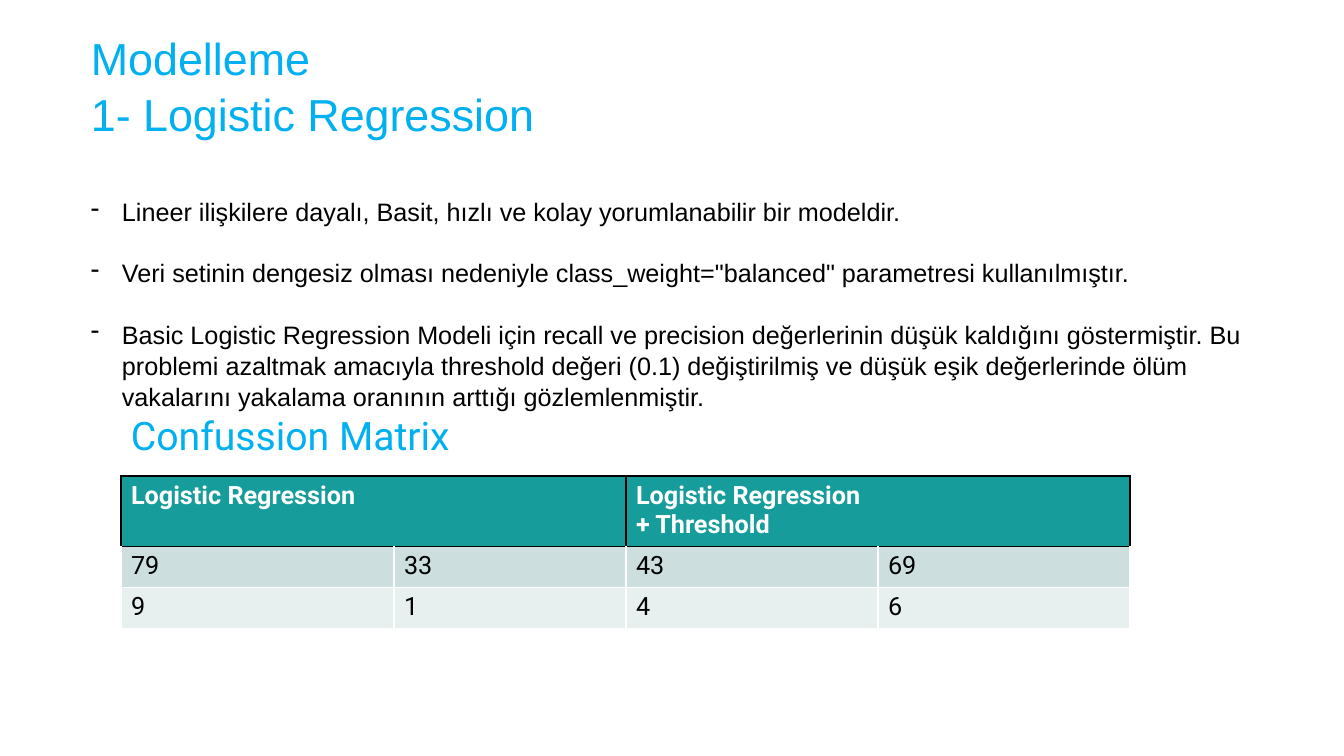
from lxml.etree import SubElement
from pptx import Presentation
from pptx.dml.color import RGBColor
from pptx.oxml import parse_xml
from pptx.oxml.ns import nsdecls, qn
from pptx.util import Emu, Pt

EMU_PER_INCH, PX_PER_INCH = 914400, 100.8
BLUE, TEAL, BLACK, WHITE = "00B0F0", "169C9A", "000000", "FFFFFF"


def px(length):
    return Emu(round(length * EMU_PER_INCH / PX_PER_INCH))


def style(para, text, size, color, font, bold=False):
    para.text = text
    para.font.size = Pt(size)
    para.font.name = font
    para.font.bold = bold
    para.font.color.rgb = RGBColor.from_string(color)


deck = Presentation()
deck.slide_width, deck.slide_height = px(1344), px(756)
page = deck.slides.add_slide(deck.slide_layouts[6])

# Title lines and dashed list share one text box
box = page.shapes.add_textbox(px(81), px(24), px(1181), px(479))
frame = box.text_frame
frame.word_wrap = True
titles = ["Modelleme", "1- Logistic Regression"]
points = [
    "Lineer ilişkilere dayalı, Basit, hızlı ve kolay yorumlanabilir bir modeldir.",
    'Veri setinin dengesiz olması nedeniyle class_weight="balanced" parametresi kullanılmıştır.',
    "Basic Logistic Regression Modeli için recall ve precision değerlerinin düşük kaldığını "
    "göstermiştir. Bu problemi azaltmak amacıyla threshold değeri (0.1) değiştirilmiş ve düşük "
    "eşik değerlerinde ölüm vakalarını yakalama oranının arttığı gözlemlenmiştir.",
]
for index, text in enumerate(titles + points):
    para = frame.add_paragraph() if index else frame.paragraphs[0]
    para.line_spacing = 1.04
    if text in titles:
        style(para, text, 32, BLUE, "Arial")
        continue
    style(para, text, 18, BLACK, "Arial")
    para.space_before = px(54 if text == points[0] else 30)
    props = para._p.get_or_add_pPr()
    props.set("marL", str(px(31)))
    props.set("indent", str(px(-31)))
    bullet = parse_xml(f'<a:buChar {nsdecls("a")} char="-"/>')
    props.insert_element_before(bullet, "a:tabLst", "a:defRPr", "a:extLst")

# Table heading
heading = page.shapes.add_textbox(px(121), px(406), px(432), px(57)).text_frame
heading.word_wrap = True
style(heading.paragraphs[0], "Confussion Matrix", 28, BLUE, "Roboto")

# Confusion matrices side by side
rows = [
    ["Logistic Regression", "", "Logistic Regression\n+ Threshold", ""],
    ["79", "33", "43", "69"],
    ["9", "1", "4", "6"],
]
widths, heights = [273, 232, 252, 252], [70, 41, 41]
fills = [TEAL, "CCDEDE", "E8EFEF"]
table = page.shapes.add_table(3, 4, px(121), px(476), px(sum(widths)), px(sum(heights))).table
for column, width in zip(table.columns, widths):
    column.width = px(width)
for row, height in zip(table.rows, heights):
    row.height = px(height)
for first in (0, 2):
    table.cell(0, first).merge(table.cell(0, first + 1))

for r, texts in enumerate(rows):
    for c, text in enumerate(texts):
        cell = table.cell(r, c)
        props = cell._tc.get_or_add_tcPr()
        for side in "LRTB":
            framed = r == 0 or (r == 1 and side == "T")
            border = SubElement(props, qn(f"a:ln{side}"), w=str(Pt(1)))
            fill = SubElement(border, qn("a:solidFill"))
            SubElement(fill, qn("a:srgbClr"), val=BLACK if framed else WHITE)
        cell.fill.solid()
        cell.fill.fore_color.rgb = RGBColor.from_string(fills[r])
        if not text:
            continue
        for index, line in enumerate(text.split("\n")):
            para = cell.text_frame.add_paragraph() if index else cell.text_frame.paragraphs[0]
            style(para, line, 18, BLACK if r else WHITE, "Roboto", r == 0)

deck.save("out.pptx")
